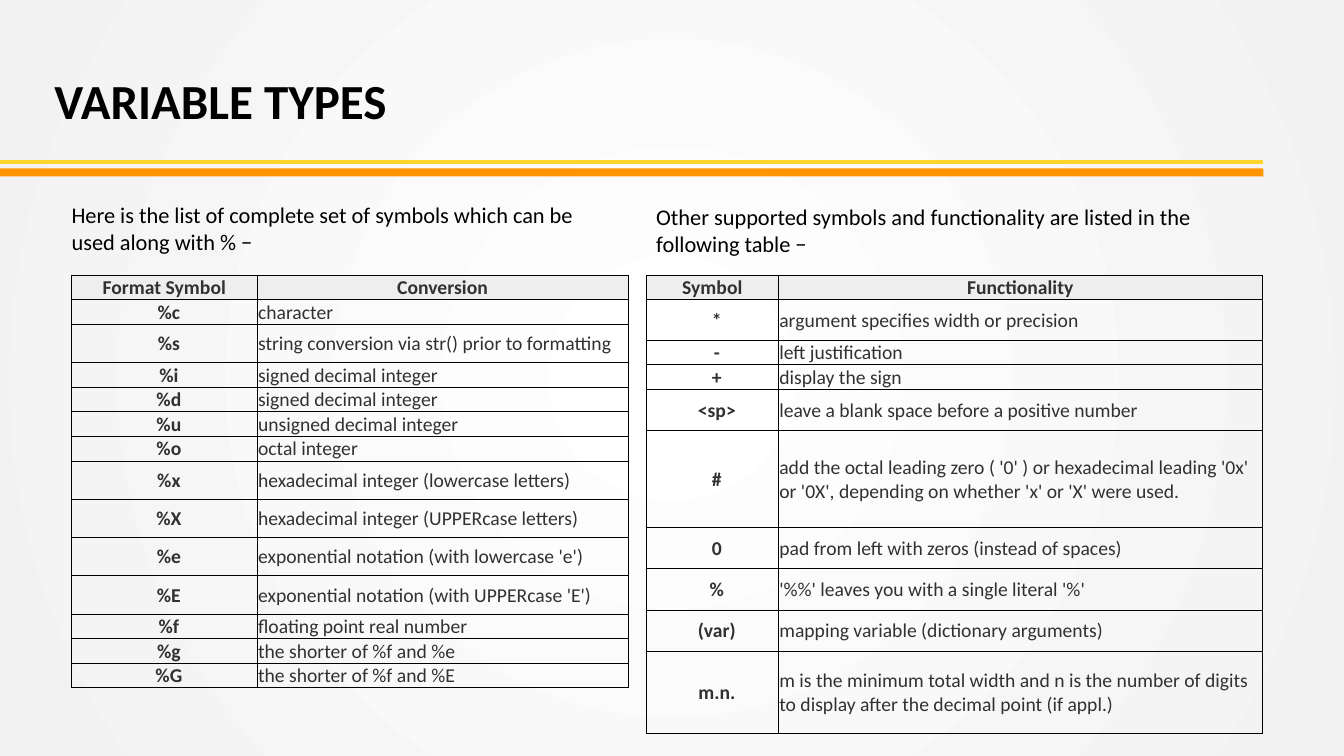
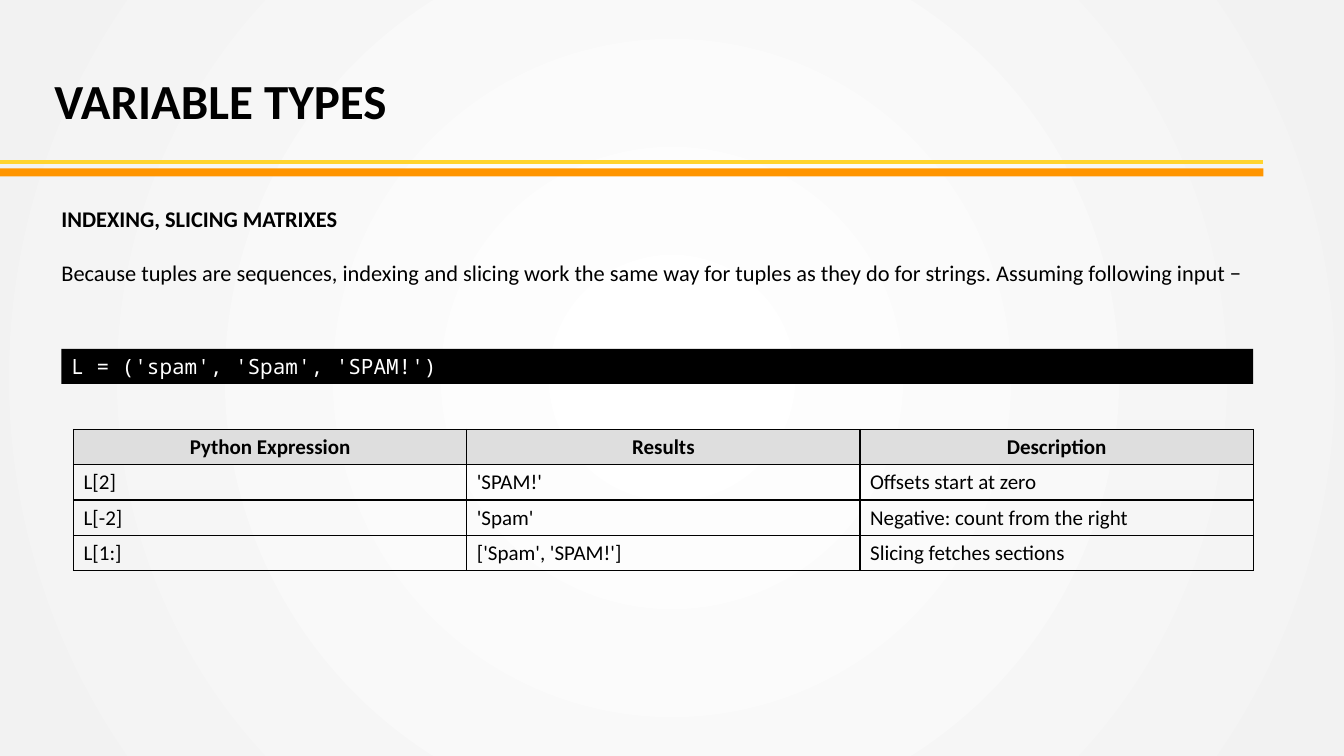
from lxml import etree
from pptx import Presentation
from pptx.dml.color import RGBColor
from pptx.enum import shapes, text
from pptx.oxml import ns
from pptx.util import Inches, Pt

BLACK = RGBColor(0x00, 0x00, 0x00)
WHITE = RGBColor(0xFF, 0xFF, 0xFF)
PALE_GREY = RGBColor(0xF2, 0xF2, 0xF2)
YELLOW = RGBColor(0xFF, 0xD4, 0x2E)
ORANGE = RGBColor(0xFF, 0x95, 0x00)
CHARCOAL = RGBColor(0x31, 0x31, 0x31)
LIGHT_HEADER = RGBColor(0xEE, 0xEE, 0xEE)
GREY_HEADER = RGBColor(0xDE, 0xDE, 0xDE)

BODY_FONT = "Calibri"
CODE_FONT = "Noto Sans Mono"
TITLE = dict(size=Pt(35), bold=True, color=BLACK)
BODY = dict(size=Pt(16), bold=False, color=BLACK)
HEADING = dict(BODY, bold=True)
CODE = dict(size=Pt(15), name=CODE_FONT, color=WHITE)
FLUSH = (0, 0, 0, 0.05)
PADDED = (0.1, 0.05, 0.1, 0.05)
SIDES = ("left", "top", "right", "bottom")

BAND_WIDTH = 12.53
LOW, TALL = 0.24, 0.38

FORMAT_SYMBOLS = [
    ("Format Symbol", "Conversion", LOW),
    ("%c", "character", LOW),
    ("%s", "string conversion via str() prior to formatting", TALL),
    ("%i", "signed decimal integer", LOW),
    ("%d", "signed decimal integer", LOW),
    ("%u", "unsigned decimal integer", LOW),
    ("%o", "octal integer", LOW),
    ("%x", "hexadecimal integer (lowercase letters)", TALL),
    ("%X", "hexadecimal integer (UPPERcase letters)", TALL),
    ("%e", "exponential notation (with lowercase 'e')", TALL),
    ("%E", "exponential notation (with UPPERcase 'E')", TALL),
    ("%f", "floating point real number", LOW),
    ("%g", "the shorter of %f and %e", LOW),
    ("%G", "the shorter of %f and %E", LOW),
]
OTHER_SYMBOLS = [
    ("Symbol", "Functionality", LOW),
    ("*", "argument specifies width or precision", 0.4),
    ("-", "left justification", LOW),
    ("+", "display the sign", LOW),
    ("<sp>", "leave a blank space before a positive number", 0.41),
    ("#", "add the octal leading zero ( '0' ) or hexadecimal leading '0x' "
          "or '0X', depending on whether 'x' or 'X' were used.", 0.96),
    ("0", "pad from left with zeros (instead of spaces)", 0.41),
    ("%", "'%%' leaves you with a single literal '%'", 0.41),
    ("(var)", "mapping variable (dictionary arguments)", 0.41),
    ("m.n.", "m is the minimum total width and n is the number of digits "
             "to display after the decimal point (if appl.)", 0.82),
]
EXPRESSIONS = [
    ("Python Expression", "Results", "Description"),
    ("L[2]", "'SPAM!'", "Offsets start at zero"),
    ("L[-2]", "'Spam'", "Negative: count from the right"),
    ("L[1:]", "['Spam', 'SPAM!']", "Slicing fetches sections"),
]


def inches(*lengths):
    return [Inches(n) for n in lengths]


def set_margins(target, margins):
    for side, margin in zip(SIDES, margins):
        setattr(target, "margin_" + side, Inches(margin))


def write(p, words, color, align=text.PP_ALIGN.LEFT, **font):
    p.alignment = align
    r = p.add_run()
    r.text = words
    r.font.color.rgb = color
    for name, value in {"name": BODY_FONT, **font}.items():
        setattr(r.font, name, value)


def add_text(s, box, words, style, margins=FLUSH, **extra):
    tf = s.shapes.add_textbox(*inches(*box)).text_frame
    tf.word_wrap = True
    tf.auto_size = text.MSO_AUTO_SIZE.SHAPE_TO_FIT_TEXT
    set_margins(tf, margins)
    write(tf.paragraphs[0], words, **style, **extra)
    return tf


def add_bar(s, box, color):
    sp = s.shapes.add_shape(shapes.MSO_SHAPE.RECTANGLE, *inches(*box))
    sp.shadow.inherit = False
    sp.fill.solid()
    sp.fill.fore_color.rgb = color
    sp.line.fill.background()
    return sp


def set_background(s):
    """Fill the slide with a round gradient, white at the centre."""
    fill = s.background.fill
    fill.gradient()
    for stop, position, color in zip(fill.gradient_stops, (0.02, 1), (WHITE, PALE_GREY)):
        stop.position = position
        stop.color.rgb = color
    grad = s.background._cSld.find(".//" + ns.qn("a:gradFill"))
    grad.remove(grad.find(ns.qn("a:lin")))
    circle = etree.SubElement(grad, ns.qn("a:path"), path="circle")
    etree.SubElement(circle, ns.qn("a:fillToRect"), {side[0]: "50000" for side in SIDES})


def add_base_slide(prs, title):
    """Add a slide with the shared background, title and double band."""
    s = prs.slides.add_slide(prs.slide_layouts[6])
    set_background(s)
    band = s.shapes.add_connector(shapes.MSO_CONNECTOR.STRAIGHT,
                                  *inches(0, 1.61, BAND_WIDTH, 1.61))
    band.line.color.rgb = YELLOW
    band.line.width = Pt(3)
    etree.SubElement(band._element.spPr, ns.qn("a:effectLst"))
    add_text(s, (0.54, 0.7, 7.87, 0.64), title, TITLE)
    add_bar(s, (0, 1.67, BAND_WIDTH, 0.08), ORANGE)
    return s


def set_borders(cell, widths):
    """Draw black borders; widths maps L, R, T and B to points."""
    tc_pr = cell._tc.get_or_add_tcPr()
    for side in "LRTB":
        ln = etree.SubElement(tc_pr, ns.qn("a:ln" + side), w=str(Pt(widths[side])))
        solid = etree.SubElement(ln, ns.qn("a:solidFill"))
        etree.SubElement(solid, ns.qn("a:srgbClr"), val=str(BLACK))


def add_grid(s, left, top, cols, heights, rows, header_fill, inner, format_cell):
    """Add a table with 1 pt outer borders; format_cell(row, col) gives
    the margins and text style of a cell."""
    table = s.shapes.add_table(len(rows), len(cols), *inches(
        left, top, sum(cols), sum(heights))).table
    table.first_row = table.horz_banding = False
    for column, width in zip(table.columns, cols):
        column.width = Inches(width)
    for i, (row, height) in enumerate(zip(rows, heights)):
        table.rows[i].height = Inches(height)
        for j, words in enumerate(row):
            cell = table.cell(i, j)
            cell.vertical_anchor = text.MSO_ANCHOR.MIDDLE
            edges = dict(L=j == 0, R=j == len(cols) - 1,
                         T=i == 0, B=i == len(rows) - 1)
            set_borders(cell, {k: 1 if outer else inner for k, outer in edges.items()})
            if i == 0:
                cell.fill.solid()
                cell.fill.fore_color.rgb = header_fill
            else:
                cell.fill.background()
            margins, style = format_cell(i, j)
            set_margins(cell, margins)
            write(cell.text_frame.paragraphs[0], words, **style)


def symbol_format(i, j):
    strong = i == 0 or j == 0
    margins = (0.1 if i and j == 0 else 0.01, 0.01, 0.01, 0)
    align = text.PP_ALIGN.CENTER if strong else text.PP_ALIGN.LEFT
    return margins, dict(size=Pt(14), bold=strong, color=CHARCOAL, align=align)


def expression_format(i, j):
    align = text.PP_ALIGN.LEFT if i else text.PP_ALIGN.CENTER
    return PADDED, dict(size=Pt(15), bold=i == 0, color=BLACK, align=align)


def add_symbol_table(s, left, cols, entries):
    add_grid(s, left, 2.73, cols, [e[2] for e in entries], [e[:2] for e in entries],
             LIGHT_HEADER, 0.5, symbol_format)


def add_code_bar(s, box, code):
    tf = add_bar(s, box, BLACK).text_frame
    tf.word_wrap = True
    tf.vertical_anchor = text.MSO_ANCHOR.MIDDLE
    set_margins(tf, (0.1, 0, 0.1, 0))
    write(tf.paragraphs[0], code, **CODE)


def build_symbols_slide(prs):
    s = add_base_slide(prs, "VARIABLE TYPES")
    add_text(s, (0.71, 2, 5.22, 0.59), "Here is the list of complete set of symbols "
             "which can be used along with % −", BODY)
    add_symbol_table(s, 0.71, (1.84, 3.68), FORMAT_SYMBOLS)
    add_text(s, (6.41, 1.97, 6.11, 0.64), "Other supported symbols and functionality "
             "are listed in the following table −", BODY, PADDED)
    add_symbol_table(s, 6.41, (1.31, 4.8), OTHER_SYMBOLS)


def build_slicing_slide(prs):
    s = add_base_slide(prs, "VARIABLE TYPES")
    justify = text.PP_ALIGN.JUSTIFY
    tf = add_text(s, (0.61, 2.04, 11.81, 1.13), "INDEXING, SLICING MATRIXES",
                  HEADING, align=justify)
    p = tf.add_paragraph()
    p.space_before = Pt(19)
    write(p, "Because tuples are sequences, indexing and slicing work the same way for "
          "tuples as they do for strings. Assuming following input −", align=justify, **BODY)
    add_code_bar(s, (0.61, 3.46, 11.82, 0.35), "L = ('spam', 'Spam', 'SPAM!')")
    add_grid(s, 0.73, 4.26, [3.9] * 3, [0.35] * len(EXPRESSIONS), EXPRESSIONS,
             GREY_HEADER, 1, expression_format)


def main():
    prs = Presentation()
    prs.slide_width, prs.slide_height = inches(13.33, 7.5)
    build_symbols_slide(prs)
    build_slicing_slide(prs)
    prs.save("out.pptx")


if __name__ == "__main__":
    main()
